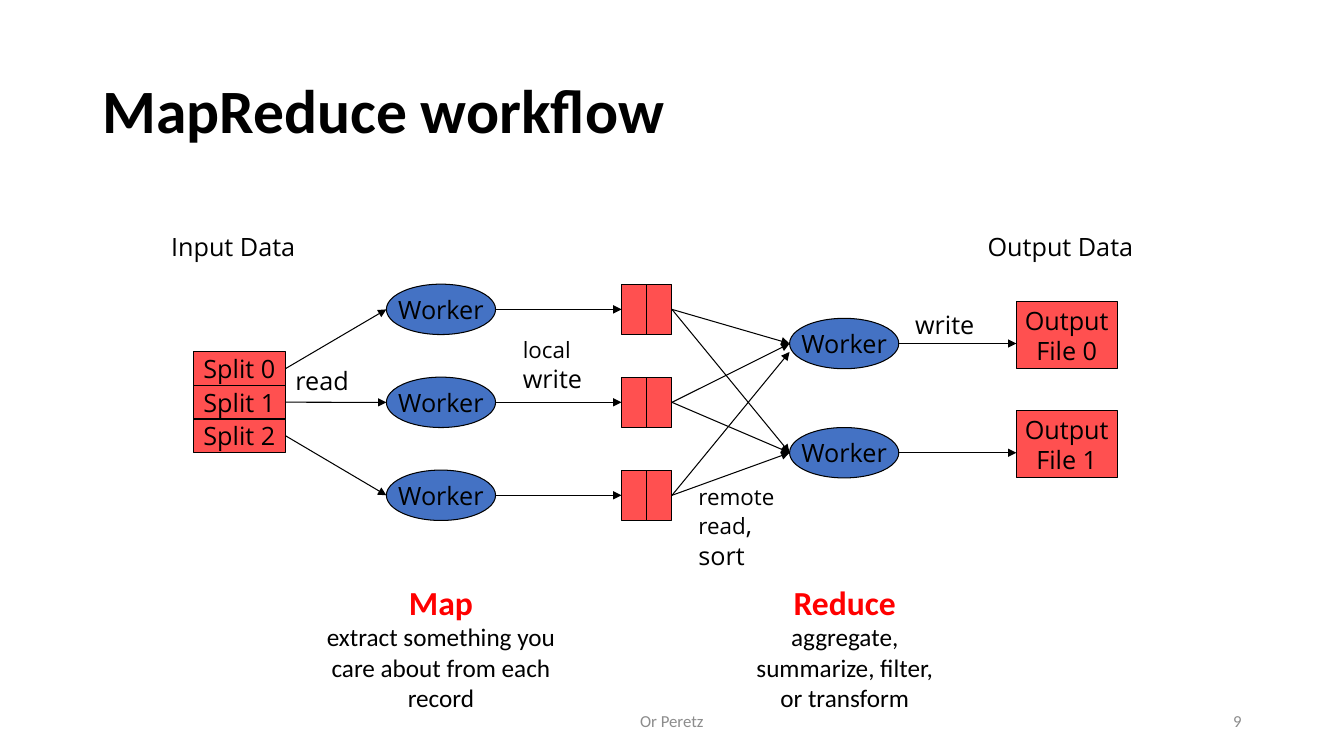
from dataclasses import dataclass

from lxml import etree
from pptx import Presentation
from pptx import util as u
from pptx.dml.color import RGBColor
from pptx.enum import shapes, text
from pptx.oxml.ns import qn


@dataclass(frozen=True)
class Style:
    """Typeface, size, colour and weight of a piece of text."""
    font: str
    size: int
    color: str = "000000"
    bold: bool = False


@dataclass(frozen=True)
class Theme:
    """Colours and type styles of the slide."""
    ink: str = "000000"
    worker: str = "4472C4"
    data: str = "FF5050"
    line_width: float = 0.75
    title: Style = Style("Calibri", 44, bold=True)
    phase: Style = Style("Calibri", 24, "FF0000", True)
    body: Style = Style("Calibri", 18)
    footer: Style = Style("Calibri", 12, "8C8C8C")
    label: Style = Style("Open Sans", 18)
    small: Style = Style("Open Sans", 16)


LEFT, CENTER, RIGHT = text.PP_ALIGN.LEFT, text.PP_ALIGN.CENTER, text.PP_ALIGN.RIGHT
RECTANGLE, OVAL = shapes.MSO_SHAPE.RECTANGLE, shapes.MSO_SHAPE.OVAL


class Diagram:
    """Draws styled elements on the current page, measured in points."""

    def __init__(self, page, theme):
        self.page = page
        self.theme = theme

    def set_font(self, font, style):
        """Apply a style to a paragraph or span font."""
        font.name = style.font
        font.size = u.Pt(style.size)
        font.bold = style.bold
        font.color.rgb = RGBColor.from_string(style.color)

    def set_text(self, frame, lines, align):
        """Fill a frame with paragraphs, each a list of (words, style) spans."""
        for index, spans in enumerate(lines):
            para = frame.paragraphs[0] if index == 0 else frame.add_paragraph()
            para.alignment = align
            uniform = len({style for _, style in spans}) == 1
            if uniform:
                self.set_font(para.font, spans[0][1])
            for words, style in spans:
                span = para.add_run()
                span.text = words
                if not uniform:
                    self.set_font(span.font, style)

    def label(self, left, top, width, height, lines, align=LEFT, wrap=False, middle=False):
        """Add a text box and return its frame."""
        box = self.page.shapes.add_textbox(u.Pt(left), u.Pt(top), u.Pt(width), u.Pt(height))
        frame = box.text_frame
        frame.word_wrap = wrap
        if middle:
            frame.vertical_anchor = text.MSO_ANCHOR.MIDDLE
        else:
            frame.auto_size = text.MSO_AUTO_SIZE.SHAPE_TO_FIT_TEXT
        self.set_text(frame, lines, align)
        return frame

    def node(self, kind, left, top, width, height, fill, words=()):
        """Add an outlined shape with one centred line per word."""
        shape = self.page.shapes.add_shape(
            kind, u.Pt(left), u.Pt(top), u.Pt(width), u.Pt(height))
        shape.shadow.inherit = False
        shape.fill.solid()
        shape.fill.fore_color.rgb = RGBColor.from_string(fill)
        shape.line.color.rgb = RGBColor.from_string(self.theme.ink)
        shape.line.width = u.Pt(self.theme.line_width)
        frame = shape.text_frame
        frame.word_wrap = False
        frame.vertical_anchor = text.MSO_ANCHOR.MIDDLE
        self.set_text(frame, [[(word, self.theme.label)] for word in words], CENTER)

    def worker(self, left, middle):
        """Add a worker ellipse centred on a row."""
        self.node(OVAL, left, middle - 18, 78, 36, self.theme.worker, ["Worker"])

    def arrow(self, start_x, start_y, end_x, end_y):
        """Add a straight arrow."""
        line = self.page.shapes.add_connector(
            shapes.MSO_CONNECTOR.STRAIGHT,
            u.Pt(start_x), u.Pt(start_y), u.Pt(end_x), u.Pt(end_y))
        line.line.color.rgb = RGBColor.from_string(self.theme.ink)
        line.line.width = u.Pt(self.theme.line_width)
        properties = line._element.spPr
        etree.SubElement(properties.find(qn("a:ln")), qn("a:tailEnd"), type="triangle")
        etree.SubElement(properties, qn("a:effectLst"))


def main():
    """Build the MapReduce workflow slide."""
    deck = Presentation()
    deck.slide_width, deck.slide_height = u.Pt(960), u.Pt(540)
    theme = Theme()
    diagram = Diagram(deck.slides.add_slide(deck.slide_layouts[6]), theme)

    title = diagram.label(66, 28.75, 828, 104.4, [[("MapReduce workflow", theme.title)]],
                          wrap=True, middle=True)
    title.paragraphs[0].line_spacing = 0.9

    split_x, mapper_x, buffer_x, reducer_x, output_x = 138, 276, 444, 564, 726
    split_width, worker_width, cell_width = 66, 78, 18
    map_rows = [221 + 66.4 * row for row in range(3)]
    reduce_rows = [245.4 + 78 * row for row in range(2)]

    for row, middle in enumerate(map_rows):
        split_top = 251.3 + 24 * row
        diagram.node(RECTANGLE, split_x, split_top, split_width, 24, theme.data, [f"Split {row}"])
        diagram.arrow(split_x + split_width, split_top + 12, mapper_x, middle)
        diagram.worker(mapper_x, middle)
        diagram.arrow(mapper_x + worker_width, middle, buffer_x, middle)
        for cell in range(2):
            diagram.node(RECTANGLE, buffer_x + cell_width * cell, middle - 18,
                         cell_width, 36, theme.data)

    for number, middle in enumerate(reduce_rows):
        diagram.worker(reducer_x, middle)
        for row, source in enumerate(map_rows):
            shift = 6 if (row, number) == (2, 0) else 0
            diagram.arrow(buffer_x + 2 * cell_width, source, reducer_x, middle + shift)
        diagram.arrow(reducer_x + worker_width, middle, output_x, middle)
        diagram.node(RECTANGLE, output_x, middle - 30, 72, 48, theme.data,
                     ["Output", f"File {number}"])

    for left, top, width, words in [
        (115.2, 162, 112.3, "Input Data"),
        (698.4, 162, 126.7, "Output Data"),
        (204, 257.2, 54.7, "read"),
        (646.6, 217.5, 59.8, "write"),
    ]:
        diagram.label(left, top, width, 29, [[(words, theme.label)]])
    diagram.label(366.4, 236.9, 60.5, 48.2,
                  [[("local", theme.small)], [("write", theme.label)]])
    diagram.label(491.8, 341.3, 72.7, 70.6,
                  [[("remote", theme.small)],
                   [("read", theme.small), (",", theme.label)],
                   [("sort", theme.label)]])

    diagram.label(218.9, 411.8, 192.2, 101.5,
                  [[("Map", theme.phase)],
                   [("extract something you care about from each record", theme.body)]],
                  CENTER, wrap=True)
    diagram.label(532.1, 411.8, 142.6, 101.5,
                  [[("Reduce ", theme.phase),
                    ("aggregate, summarize, filter, or transform", theme.body)]],
                  CENTER, wrap=True)

    diagram.label(318, 500.5, 324, 28.75, [[("Or Peretz", theme.footer)]],
                  CENTER, wrap=True, middle=True)
    diagram.label(678, 500.5, 216, 28.75, [[("9", theme.footer)]],
                  RIGHT, wrap=True, middle=True)

    deck.save("out.pptx")


if __name__ == "__main__":
    main()
